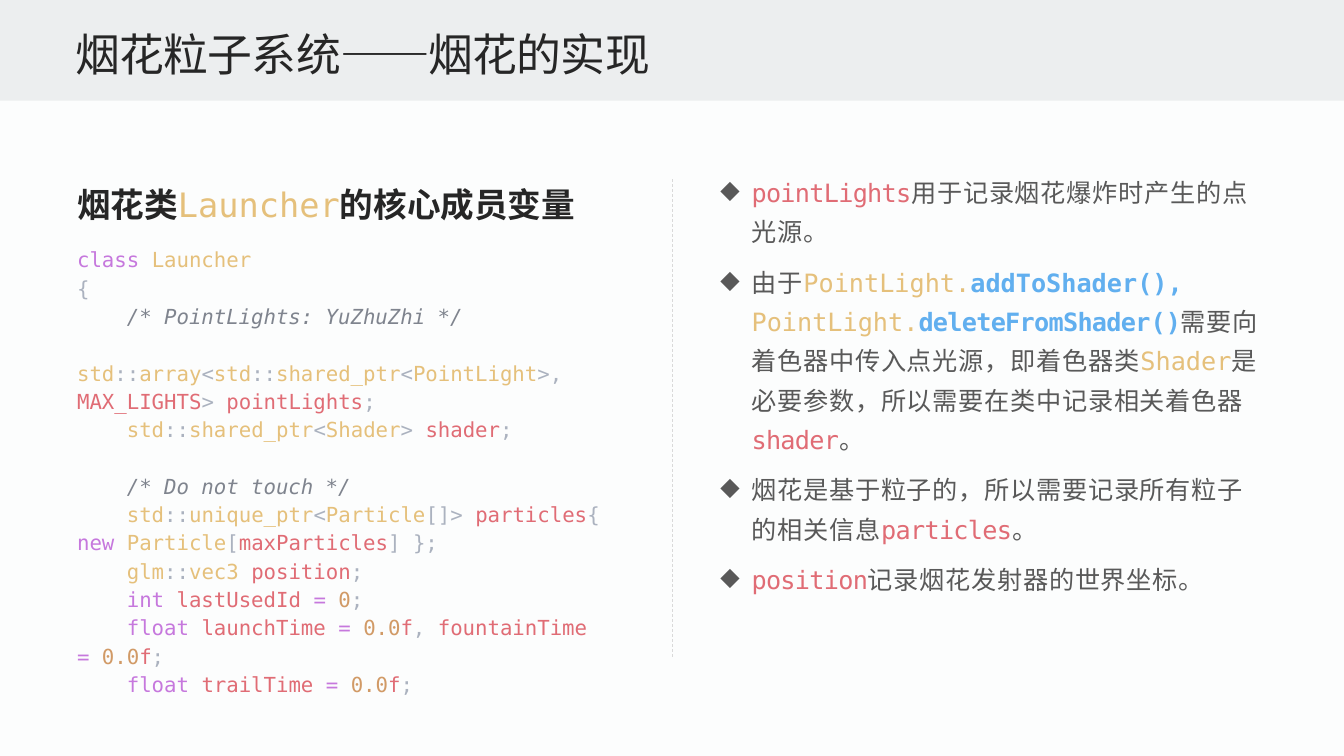
from itertools import groupby

from lxml.etree import SubElement
from pptx import Presentation
from pptx.dml.color import RGBColor
from pptx.enum.dml import MSO_LINE
from pptx.enum.shapes import MSO_CONNECTOR, MSO_SHAPE
from pptx.enum.text import MSO_ANCHOR, MSO_AUTO_SIZE, PP_ALIGN
from pptx.oxml.ns import qn
from pptx.util import Inches, Pt

WIDTH, HEIGHT = Inches(13.33), Inches(7.5)
SANS, MONO = "Arial", "DejaVu Sans Mono"

PAPER = RGBColor(0xFC, 0xFD, 0xFD)
BAND = RGBColor(0xEC, 0xEE, 0xEF)
INK = RGBColor(0x26, 0x26, 0x26)
GREY = RGBColor(0x59, 0x59, 0x59)
RULE = RGBColor(0xD9, 0xD9, 0xD9)
KEYWORD = RGBColor(0xC6, 0x78, 0xDD)
TYPE = RGBColor(0xE5, 0xC0, 0x7B)
VARIABLE = RGBColor(0xE0, 0x6C, 0x75)
NUMBER = RGBColor(0xD1, 0x9A, 0x66)
METHOD = RGBColor(0x61, 0xAF, 0xEF)
PUNCTUATION = RGBColor(0xAB, 0xB2, 0xBF)
COMMENT = RGBColor(0x7F, 0x84, 0x8E)

KEYWORDS = {"class", "new", "int", "float", "="}
TYPES = {"Launcher", "std", "array", "shared_ptr", "unique_ptr", "PointLight",
         "Shader", "Particle", "glm", "vec3"}

CODE = [
    "class Launcher",
    "{",
    "    /* PointLights: YuZhuZhi */",
    "    std::array<std::shared_ptr<PointLight>, MAX_LIGHTS> pointLights;",
    "    std::shared_ptr<Shader> shader;",
    "\n    /* Do not touch */",
    "    std::unique_ptr<Particle[]> particles{ new Particle[maxParticles] };",
    "    glm::vec3 position;",
    "    int lastUsedId = 0;",
    "    float launchTime = 0.0f, fountainTime = 0.0f;",
    "    float trailTime = 0.0f;",
]

# Run styles: font, colour, bold, letter spacing in points
PROSE = (SANS, GREY, False, 0.5)
MEMBER = (MONO, VARIABLE, False, -0.5)
CLASS = (MONO, TYPE, False, 0)
CALL = (MONO, METHOD, True, 0)
TIGHT_CALL = (MONO, METHOD, True, -0.5)
HEADING = (SANS, INK, True, 0)
TITLE = (SANS, INK, False, -0.5)

NOTES = [
    [("pointLights", MEMBER), ("用于记录烟花爆炸时产生的点光源。", PROSE)],
    [("由于", PROSE), ("PointLight.", CLASS), ("addToShader(), ", CALL),
     ("PointLight.", CLASS), ("deleteFromShader", TIGHT_CALL), ("()", CALL),
     ("需要向着色器中传入点光源，即着色器类", PROSE), ("Shader", CLASS),
     ("是必要参数，所以需要在类中记录相关着色器", PROSE),
     ("shader", MEMBER), ("。", PROSE)],
    [("烟花是基于粒子的，所以需要记录所有粒子的相关信息", PROSE),
     ("particles", MEMBER), ("。", PROSE)],
    [("position", MEMBER), ("记录烟花发射器的世界坐标。", PROSE)],
]


def area(left, top, width, height):
    """Turn percentages of the slide into a position and size."""
    return (int(WIDTH * left / 100), int(HEIGHT * top / 100),
            int(WIDTH * width / 100), int(HEIGHT * height / 100))


def style_run(r, size, style):
    font, color, bold, spacing = style
    r.font.name, r.font.size, r.font.bold = font, Pt(size), bold
    r.font.color.rgb = color
    if spacing:
        r._r.get_or_add_rPr().set("spc", str(int(spacing * 100)))


def add_runs(p, size, pieces):
    for text, style in pieces:
        r = p.add_run()
        r.text = text
        style_run(r, size, style)


def add_text_box(s, box):
    tf = s.shapes.add_textbox(*box).text_frame
    tf.word_wrap = True
    return tf


def paragraphs(tf, items):
    """Pair each item with its own paragraph, starting with the first one."""
    for i, item in enumerate(items):
        yield (tf.add_paragraph() if i else tf.paragraphs[0]), item


def add_bullet(p, char, color, indent):
    pPr = p._p.get_or_add_pPr()
    pPr.set("marL", str(indent))
    pPr.set("indent", str(-indent))
    fill = SubElement(SubElement(pPr, qn("a:buClr")), qn("a:srgbClr"))
    fill.set("val", str(color))
    SubElement(pPr, qn("a:buChar")).set("char", char)


def char_class(c):
    if c.isalnum() or c in "_.":
        return "word"
    return "operator" if c == "=" else "punctuation"


def highlight(line):
    """Split a line of code into pieces with their colours."""
    for kind, chars in groupby(line, char_class):
        token = "".join(chars)
        if token in KEYWORDS:
            yield token, KEYWORD
        elif token in TYPES:
            yield token, TYPE
        elif kind == "punctuation":
            yield token, PUNCTUATION
        elif token[0].isdigit():
            yield token.rstrip("f"), NUMBER
            if token.endswith("f"):
                yield "f", VARIABLE
        else:
            yield token, VARIABLE


def add_code(s, box, lines, size):
    tf = add_text_box(s, box)
    for p, line in paragraphs(tf, lines):
        p.line_spacing = Pt(20.2)
        if line.strip().startswith("/*"):
            p.text = line
            for r in p.runs:
                style_run(r, size, (MONO, COMMENT, False, 0))
                r.font.italic = True
        else:
            add_runs(p, size, [(text, (MONO, color, False, 0))
                               for text, color in highlight(line)])


def add_notes(s, box, notes):
    tf = add_text_box(s, box)
    tf.margin_left = tf.margin_right = Inches(0.08)
    tf.margin_top = tf.margin_bottom = 0
    for p, pieces in paragraphs(tf, notes):
        add_bullet(p, "◆", GREY, Inches(0.31))
        p.line_spacing = 1.3
        p.space_after = Pt(8)
        add_runs(p, 18, pieces)


def add_band(s, box):
    sp = s.shapes.add_shape(MSO_SHAPE.RECTANGLE, *box)
    sp.shadow.inherit = False
    sp.fill.solid()
    sp.fill.fore_color.rgb = BAND
    sp.line.fill.background()
    s.shapes._spTree.insert(2, sp._element)  # behind the title


def set_title(s, box, text):
    sp = s.shapes.title
    sp.left, sp.top, sp.width, sp.height = box
    tf = sp.text_frame
    tf.text = text
    tf.word_wrap = True
    tf.auto_size = MSO_AUTO_SIZE.NONE
    tf.vertical_anchor = MSO_ANCHOR.BOTTOM
    tf.margin_left = tf.margin_right = Inches(0.08)
    tf.margin_top = tf.margin_bottom = Inches(0.04)
    p = tf.paragraphs[0]
    p.alignment = PP_ALIGN.LEFT
    style_run(p.runs[0], 32, TITLE)


def add_divider(s, box):
    x, y, _, height = box
    line = s.shapes.add_connector(MSO_CONNECTOR.STRAIGHT, x, y, x, y + height)
    line.line.color.rgb = RULE
    line.line.width = Pt(0.5)
    line.line.dash_style = MSO_LINE.DASH
    SubElement(line._element.spPr, qn("a:effectLst"))


def main():
    prs = Presentation()
    prs.slide_width, prs.slide_height = WIDTH, HEIGHT
    s = prs.slides.add_slide(prs.slide_layouts[5])
    s.background.fill.solid()
    s.background.fill.fore_color.rgb = PAPER

    add_band(s, area(0, 0, 100, 13.33))
    set_title(s, area(5, 2.27, 90, 8.93), "烟花粒子系统——烟花的实现")
    add_code(s, area(5, 31.6, 40.36, 55.33), CODE, 14.8)
    heading = add_text_box(s, area(5, 23.73, 40.36, 6.67))
    add_runs(heading.paragraphs[0], 24, [
        ("烟花类", HEADING), ("Launcher", CLASS), ("的核心成员变量", HEADING)])
    add_divider(s, area(50, 23.73, 0, 63.2))
    add_notes(s, area(53, 22.27, 42, 64.4), NOTES)
    prs.save("out.pptx")


if __name__ == "__main__":
    main()
